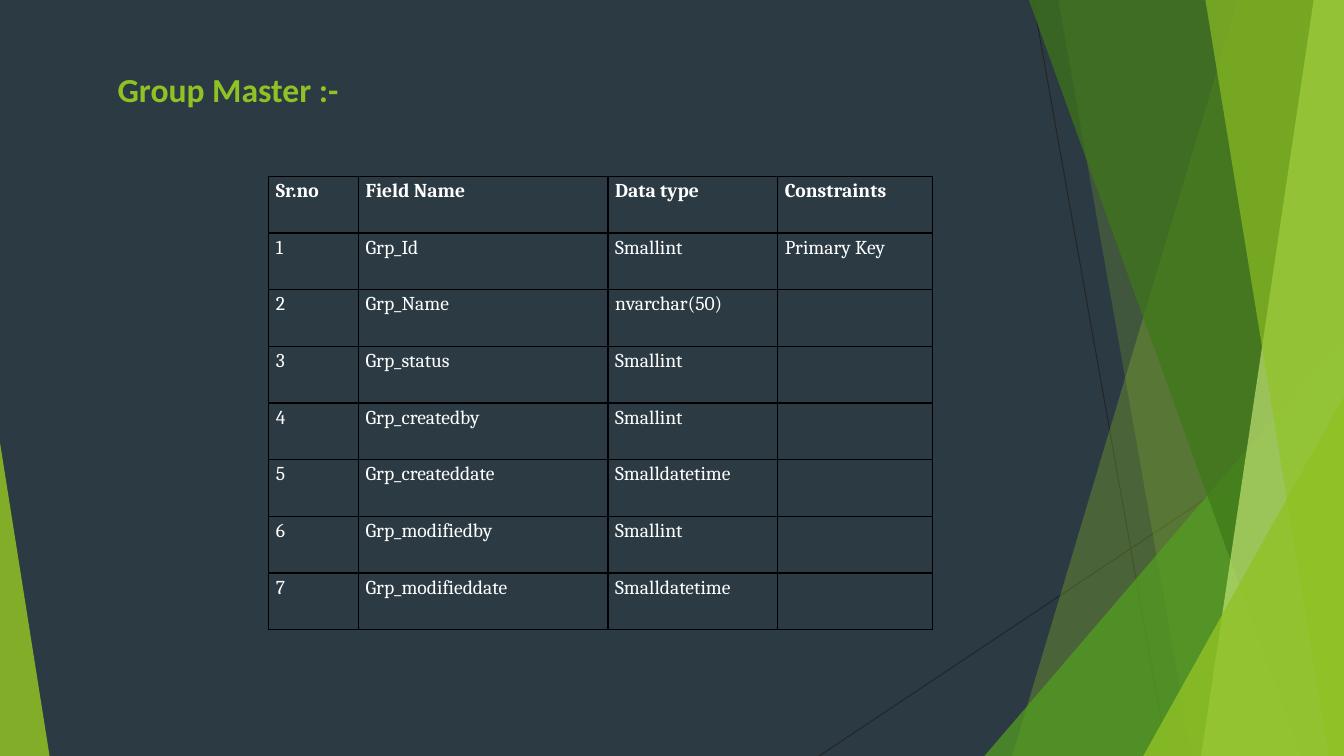
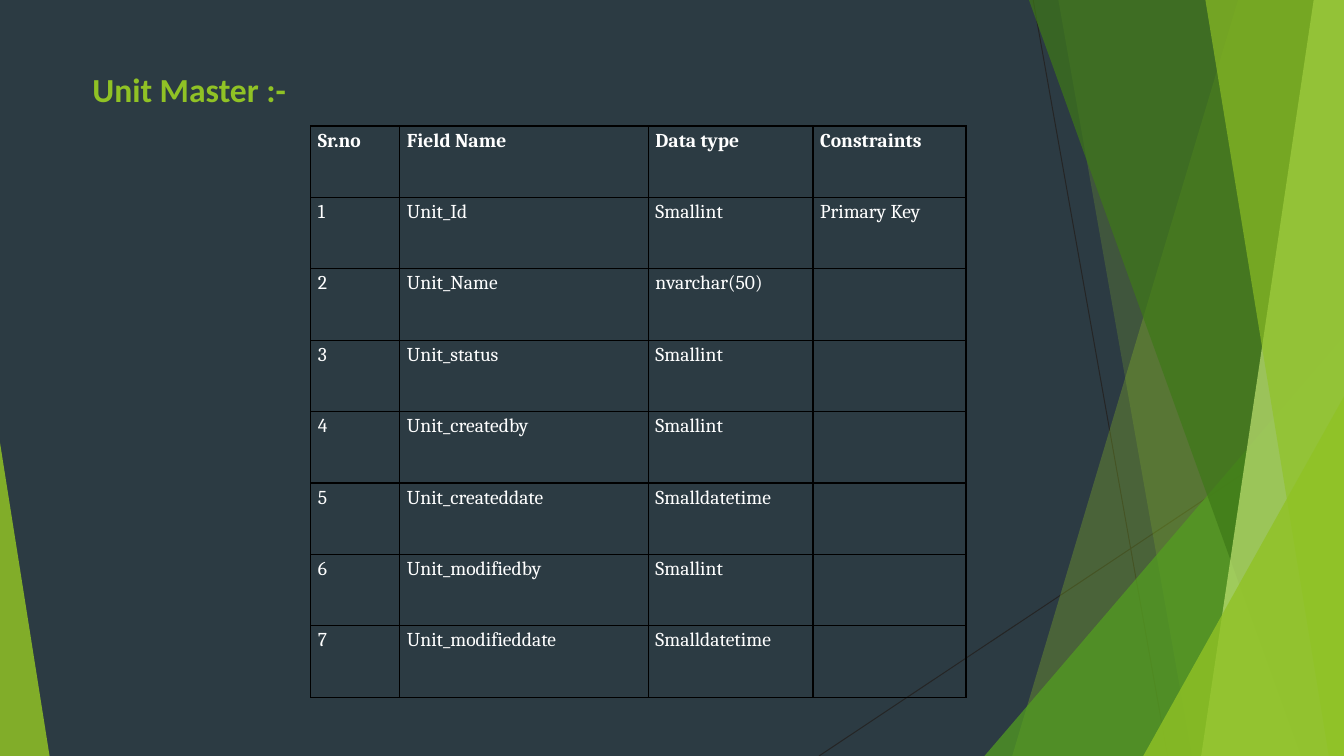
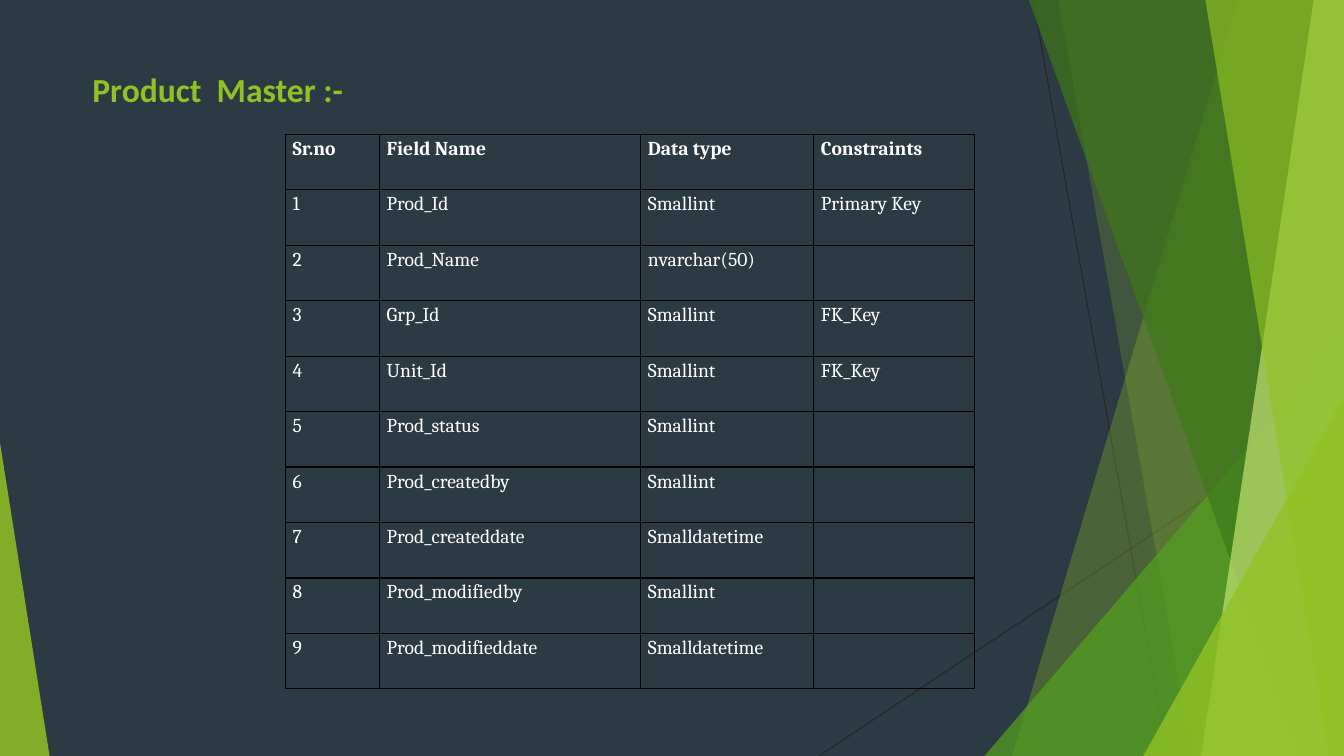
from lxml.etree import SubElement
from pptx import Presentation
from pptx.dml.color import RGBColor
from pptx.enum.shapes import MSO_CONNECTOR
from pptx.enum.text import MSO_AUTO_SIZE
from pptx.oxml import parse_xml
from pptx.oxml.ns import nsdecls, qn
from pptx.util import Emu, Inches, Pt

# Grid: 160 columns by 90 rows, twelve to the inch
COLS, ROWS = 160, 90
UNIT = Inches(1) / 12

COLORS = {
    "ground": "2C3B43", "hairline": "252525", "border": "000000",
    "text": "FFFFFF", "lime": "90C225", "leaf": "539F20",
    "forest": "3E7818", "pale": "C0E374",
}

# Decoration: two hairlines, then translucent facets (colour, opacity %, corners)
HAIRLINES = [(123, 0, 139, ROWS), (COLS, 48.4, 97.5, ROWS)]
CORNER = (COLS, ROWS)
FACETS = [
    ("lime", 30, [(COLS, 0), (147.4, 0), (120.5, ROWS), CORNER]),
    ("lime", 20, [(COLS, 0), (126, 0), (141.9, ROWS), CORNER]),
    ("leaf", 72, [(COLS, 40), (117.2, ROWS), CORNER]),
    ("forest", 70, [(COLS, 0), (122.5, 0), (154.9, ROWS), CORNER]),
    ("pale", 70, [(COLS, 0), (156.4, 0), (143, ROWS), CORNER]),
    ("lime", 65, [(COLS, 0), (143.5, 0), (158.2, ROWS), CORNER]),
    ("lime", 80, [(COLS, 47.2), (136.1, ROWS), CORNER]),
    ("lime", 85, [(0, 52.7), (0, ROWS), (5.9, ROWS)]),
]

HEADER = ("Sr.no", "Field Name", "Data type", "Constraints")


def grid(*values):
    """Turn grid units into lengths."""
    return [Emu(round(v * UNIT)) for v in values]


def rgb(name):
    return RGBColor.from_string(COLORS[name])


def write(tf, text, size=14, font="Cambria", color="text", bold=False, spacing=None):
    p = tf.paragraphs[0]
    p.line_spacing = spacing
    r = p.add_run()
    r.text = text
    r.font.size, r.font.name, r.font.bold = Pt(size), font, bold
    r.font.color.rgb = rgb(color)


def master_rows(prefix, foreign_keys=()):
    """Rows of a master table: key, name, foreign keys, then audit fields."""
    fields = [
        (f"{prefix}_Id", "Smallint", "Primary Key"),
        (f"{prefix}_Name", "nvarchar(50)", ""),
        *((key, "Smallint", "FK_Key") for key in foreign_keys),
        (f"{prefix}_status", "Smallint", ""),
    ]
    for action in ("created", "modified"):
        fields += [(f"{prefix}_{action}by", "Smallint", ""),
                   (f"{prefix}_{action}date", "Smalldatetime", "")]
    return [HEADER] + [(str(n), *field) for n, field in enumerate(fields, 1)]


class Deck:
    def __init__(self):
        self.prs = Presentation()
        self.prs.slide_width, self.prs.slide_height = grid(COLS, ROWS)

    def new_slide(self):
        self.slide = self.prs.slides.add_slide(self.prs.slide_layouts[6])
        fill = self.slide.background.fill
        fill.solid()
        fill.fore_color.rgb = rgb("ground")
        for ends in HAIRLINES:
            self.hairline(*ends)
        for facet in FACETS:
            self.facet(*facet)

    def hairline(self, *ends):
        line = self.slide.shapes.add_connector(MSO_CONNECTOR.STRAIGHT, *grid(*ends))
        line.line.color.rgb = rgb("hairline")
        line.line.width = Pt(0.72)
        SubElement(line.element.spPr, qn("a:effectLst"))

    def facet(self, color, opacity, corners):
        start, *rest = [grid(*corner) for corner in corners]
        builder = self.slide.shapes.build_freeform(*start)
        builder.add_line_segments(rest, close=True)
        sp = builder.convert_to_shape()
        sp.shadow.inherit = False
        sp.fill.solid()
        sp.fill.fore_color.rgb = rgb(color)
        sp.line.fill.background()
        clr = next(sp.element.iter(qn("a:srgbClr")))
        SubElement(clr, qn("a:alpha"), val=str(opacity * 1000))

    def title(self, text, left):
        tf = self.slide.shapes.add_textbox(*grid(left, 8.2, 60, 4.8)).text_frame
        tf.margin_left = tf.margin_top = tf.margin_right = tf.margin_bottom = 0
        tf.word_wrap = True
        tf.auto_size = MSO_AUTO_SIZE.SHAPE_TO_FIT_TEXT
        write(tf, text, size=24, font="Calibri", color="lime", bold=True)

    def table(self, rows, box, cols):
        """The last column takes what the given ones leave of the width."""
        width, height = box[2:]
        table = self.slide.shapes.add_table(len(rows), len(HEADER), *grid(*box)).table
        table.first_row = table.horz_banding = False
        for col, w in zip(table.columns, grid(*cols, width - sum(cols))):
            col.width = w
        for i, row in enumerate(rows):
            table.rows[i].height, = grid(height / len(rows))
            for j, text in enumerate(row):
                self.cell(table.cell(i, j), text, bold=i == 0)

    def cell(self, cell, text, bold):
        cell.margin_left = cell.margin_right = Inches(0.07)
        cell.margin_top = cell.margin_bottom = 0
        cell.fill.background()
        tcPr = cell._tc.get_or_add_tcPr()
        for i, side in enumerate("LRTB"):
            tcPr.insert(i, parse_xml(
                f'<a:ln{side} {nsdecls("a")} w="{Pt(1)}"><a:solidFill>'
                f'<a:srgbClr val="{COLORS["border"]}"/></a:solidFill></a:ln{side}>'))
        if text:
            write(cell.text_frame, text, bold=bold, spacing=1.15)


def main():
    deck = Deck()

    # Title, its left edge, table rows, table box, first three column widths
    masters = [
        ("Group Master :-", 14, master_rows("Grp"),
         (32, 21, 79, 54), (10.7, 29.7, 20.2)),
        ("Unit Master :-", 11, master_rows("Unit"),
         (37, 15, 78, 68), (10.6, 29.6, 19.6)),
        ("Product  Master :-", 11, master_rows("Prod", ("Grp_Id", "Unit_Id")),
         (34, 16, 82, 66), (11.2, 31.1, 20.6)),
    ]
    for title, left, rows, box, cols in masters:
        deck.new_slide()
        deck.title(title, left)
        deck.table(rows, box, cols)

    deck.prs.save("out.pptx")


if __name__ == "__main__":
    main()
